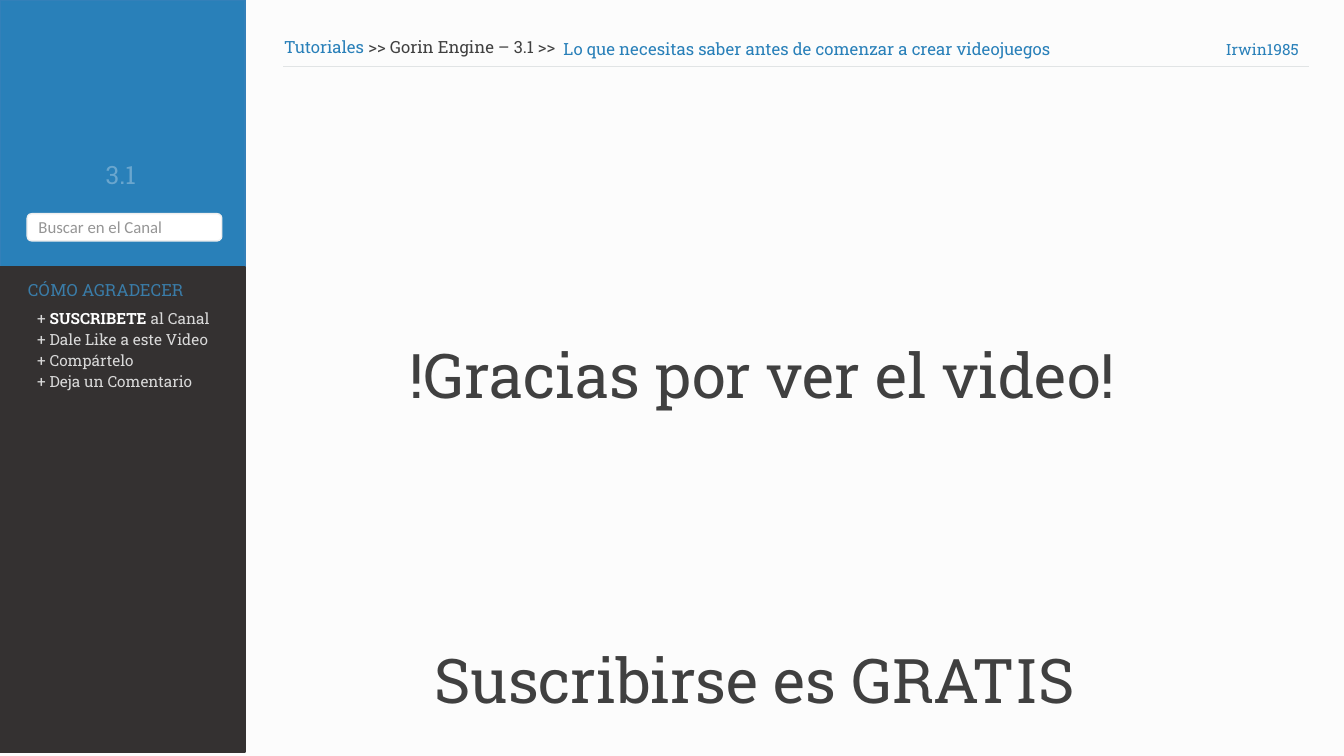
import pptx
import pptx.util
import pptx.dml.color
import pptx.enum.shapes
import pptx.enum.text
import pptx.oxml.ns
from lxml import etree

Inches = pptx.util.Inches
Pt = pptx.util.Pt
SHAPES = pptx.enum.shapes.MSO_SHAPE
ALIGN = pptx.enum.text.PP_ALIGN

COLORS = {
    "background": "FCFCFC",
    "blue": "2980B9",
    "blue edge": "3380B9",
    "charcoal": "343131",
    "version": "6AA6CE",
    "heading": "3A7CA8",
    "white": "FFFFFF",
    "search edge": "EFEFEF",
    "search text": "959595",
    "menu": "D9D9D9",
    "rule": "E1E4E5",
    "text": "404040",
}
COLORS = {name: pptx.dml.color.RGBColor.from_string(value) for name, value in COLORS.items()}

presentation = pptx.Presentation()
presentation.slide_width = Inches(13.33)
presentation.slide_height = Inches(7.5)
slide = presentation.slides.add_slide(presentation.slide_layouts[6])
slide.background.fill.solid()
slide.background.fill.fore_color.rgb = COLORS["background"]


def add_panel(kind, left, top, width, height, fill, edge):
    shape = slide.shapes.add_shape(kind, Inches(left), Inches(top), Inches(width), Inches(height))
    shape.shadow.inherit = False
    shape.fill.solid()
    shape.fill.fore_color.rgb = COLORS[fill]
    shape.line.color.rgb = COLORS[edge]
    shape.line.width = Pt(1)
    return shape


def add_text(left, top, width, height, size, runs, wrap=True, align=ALIGN.LEFT):
    """Add a one-line text box; runs are (text, colour name, bold)."""
    box = slide.shapes.add_textbox(Inches(left), Inches(top), Inches(width), Inches(height))
    box.text_frame.word_wrap = wrap
    box.text_frame.auto_size = pptx.enum.text.MSO_AUTO_SIZE.SHAPE_TO_FIT_TEXT
    paragraph = box.text_frame.paragraphs[0]
    paragraph.alignment = align
    paragraph.font.name = "Roboto Slab"
    paragraph.font.size = Pt(size)
    for text, color, bold in runs:
        run = paragraph.add_run()
        run.text = text
        run.font.color.rgb = COLORS[color]
        run.font.bold = bold


# Sidebar
add_panel(SHAPES.RECTANGLE, 0, 0, 2.43, 2.65, "blue", "blue edge")
add_panel(SHAPES.RECTANGLE, 0, 2.65, 2.43, 4.81, "charcoal", "charcoal")
add_text(0.95, 1.53, 0.52, 0.4, 18, [("3.1", "version", False)], wrap=False)

search = add_panel(SHAPES.ROUNDED_RECTANGLE, 0.27, 2.12, 1.93, 0.27, "white", "search edge")
search.text_frame.vertical_anchor = pptx.enum.text.MSO_ANCHOR.MIDDLE
paragraph = search.text_frame.paragraphs[0]
paragraph.text = "Buscar en el Canal"
paragraph.alignment = ALIGN.LEFT
paragraph.font.name = "Calibri"
paragraph.font.size = Pt(12)
paragraph.font.color.rgb = COLORS["search text"]

add_text(0.13, 2.73, 1.84, 0.3, 12, [("CÓMO AGRADECER", "heading", False)], align=ALIGN.CENTER)
menu = [
    [("+ ", "menu", False), ("SUSCRIBETE", "white", True), (" al Canal", "menu", False)],
    [("+ Dale Like a este Video", "menu", False)],
    [("+ Compártelo", "menu", False)],
    [("+ Deja un Comentario", "menu", False)],
]
for row, runs in enumerate(menu):
    add_text(0.27, 3.02 + row * 0.62 / 3, 1.95, 0.29, 11, runs)

# Breadcrumb header
rule = slide.shapes.add_connector(
    pptx.enum.shapes.MSO_CONNECTOR.STRAIGHT, Inches(2.81), Inches(0.66), Inches(12.98), Inches(0.66))
rule.line.color.rgb = COLORS["rule"]
rule.line.width = Pt(0.5)
etree.SubElement(rule.element.spPr, pptx.oxml.ns.qn("a:effectLst"))

add_text(12.06, 0.35, 0.96, 0.29, 11, [("Irwin1985", "blue", False)])
add_text(2.72, 0.32, 2.97, 0.3, 12,
         [("Tutoriales ", "blue", False), (">> Gorin Engine – 3.1 >>", "text", False)])
add_text(5.49, 0.34, 5.12, 0.3, 12,
         [("Lo que necesitas saber antes de comenzar a crear videojuegos", "blue", False)])

# Closing messages
add_text(3.96, 3.29, 7.41, 0.84, 44, [("!Gracias por ver el video!", "text", False)], wrap=False)
add_text(4.21, 6.32, 6.92, 0.84, 44, [("Suscribirse es GRATIS", "text", False)], wrap=False)

presentation.save("out.pptx")
